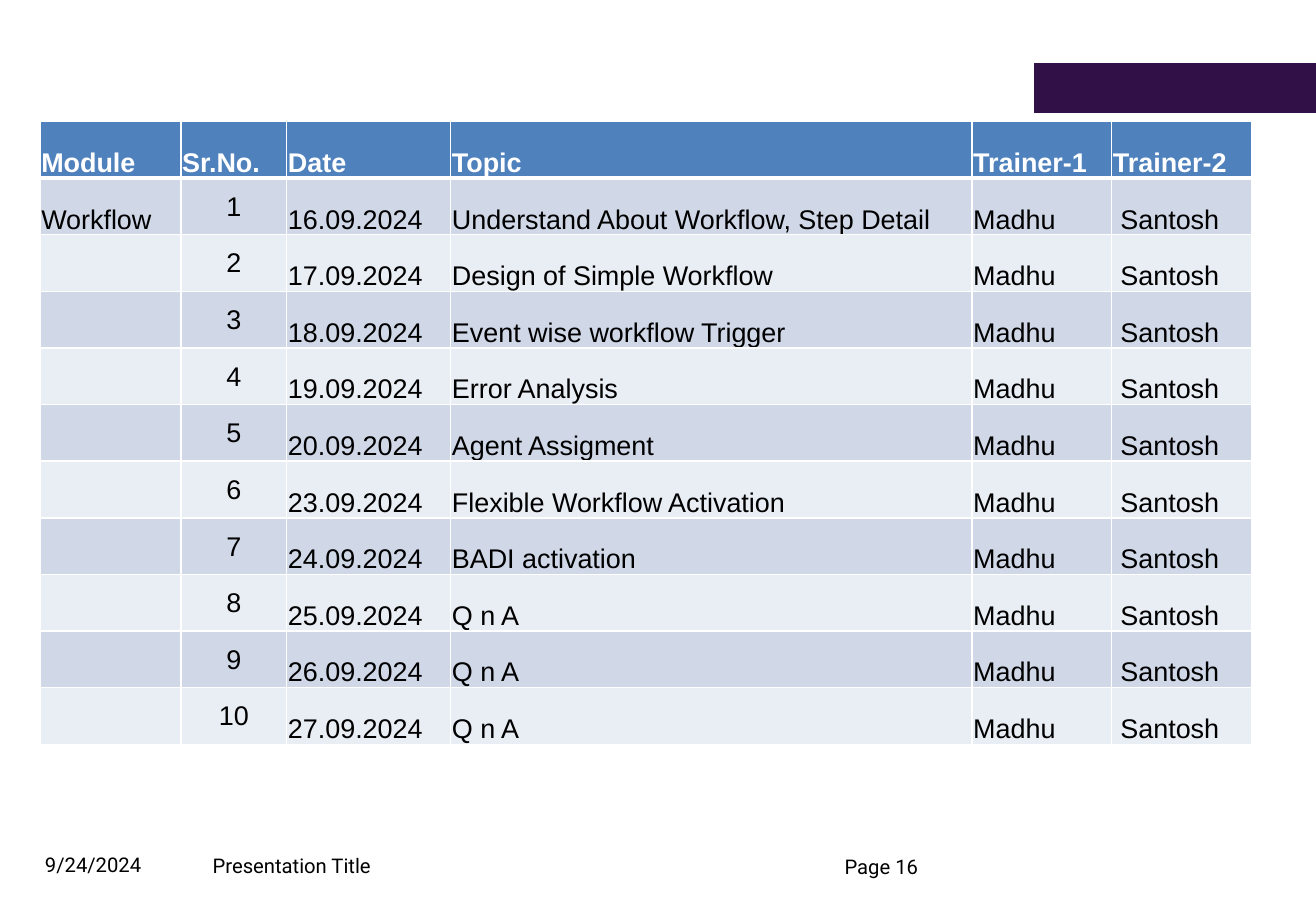
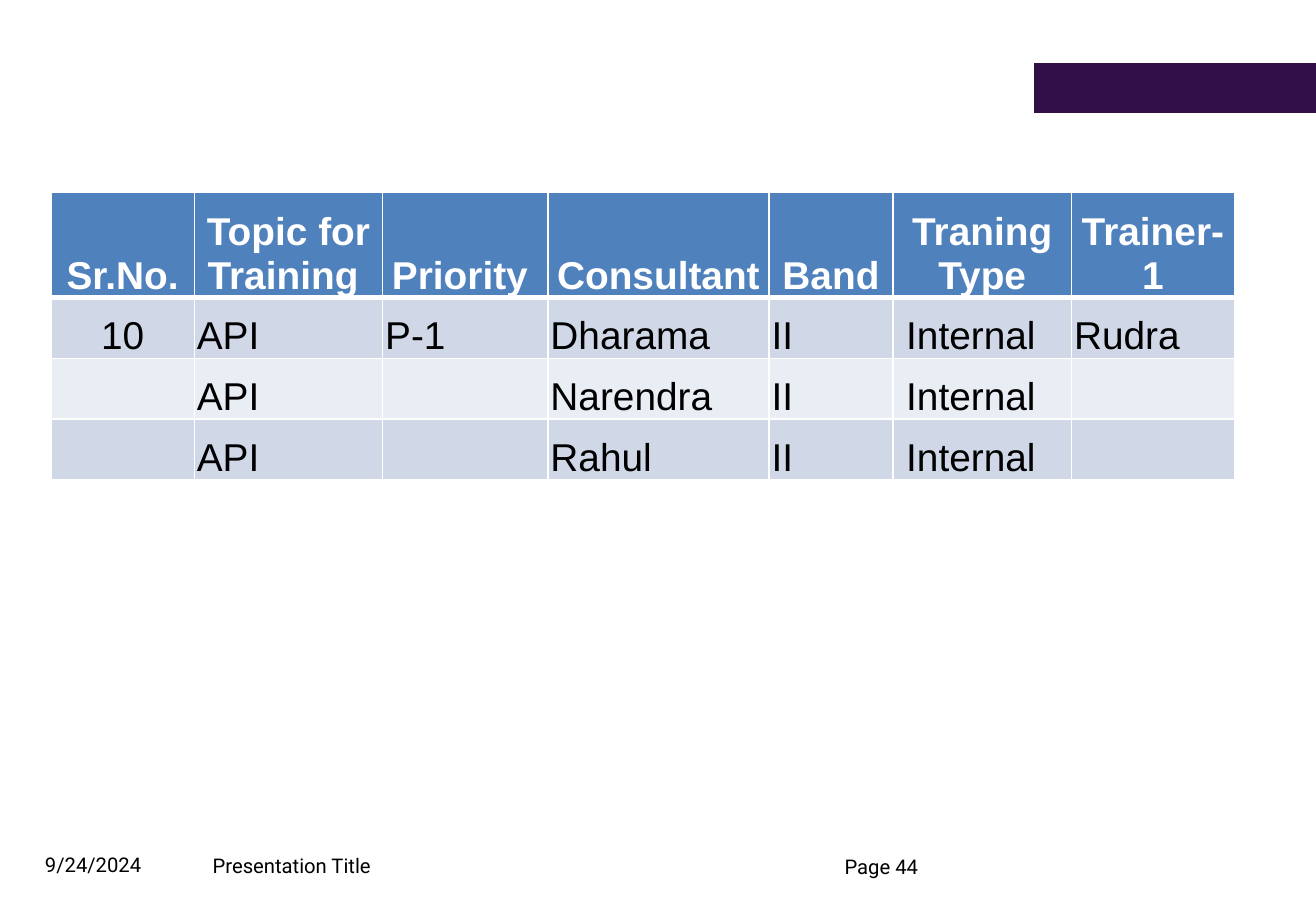
from pptx import Presentation
from pptx.dml.color import RGBColor
from pptx.enum.shapes import MSO_SHAPE
from pptx.enum.text import MSO_ANCHOR, PP_ALIGN
from pptx.oxml import parse_xml
from pptx.util import Inches, Pt

LEFT, CENTER = PP_ALIGN.LEFT, PP_ALIGN.CENTER
TOP, MIDDLE, BOTTOM = MSO_ANCHOR.TOP, MSO_ANCHOR.MIDDLE, MSO_ANCHOR.BOTTOM
RECT = MSO_SHAPE.RECTANGLE
NS = "http://schemas.openxmlformats.org/drawingml/2006/main"

COLORS = {
    "band": "301047",
    "header": "4F81BD",
    "odd": "D0D8E8",
    "even": "E9EDF4",
    "white": "FFFFFF",
    "black": "000000",
}


def put_text(tf, text, size=12, font="Roboto", color="black", bold=False,
             align=LEFT, spacing=None):
    p = tf.paragraphs[0]
    p.alignment = align
    p.line_spacing = spacing
    r = p.add_run()
    r.text = text
    r.font.size = Pt(size)
    r.font.name = font
    r.font.bold = bold
    r.font.color.rgb = RGBColor.from_string(COLORS[color])


def set_borders(cell, widths):
    tc_pr = cell._tc.get_or_add_tcPr()
    for i, (side, width) in enumerate(widths.items()):
        ln = parse_xml(
            f'<a:ln{side} xmlns:a="{NS}" w="{Pt(width)}"><a:solidFill>'
            f'<a:srgbClr val="{COLORS["white"]}"/></a:solidFill></a:ln{side}>')
        tc_pr.insert(i, ln)


sessions = [
    ("16.09.2024", "Understand About Workflow, Step Detail"),
    ("17.09.2024", "Design of Simple Workflow"),
    ("18.09.2024", "Event wise workflow Trigger"),
    ("19.09.2024", "Error Analysis"),
    ("20.09.2024", "Agent Assigment"),
    ("23.09.2024", "Flexible Workflow Activation"),
    ("24.09.2024", "BADI activation"),
    ("25.09.2024", "Q n A"),
    ("26.09.2024", "Q n A"),
    ("27.09.2024", "Q n A"),
]
schedule = [["Module", "Sr.No.", "Date", "Topic", "Trainer-1", "Trainer-2"]]
for number, (date, topic) in enumerate(sessions, 1):
    module = "Workflow" if number == 1 else ""
    schedule.append([module, str(number), date, topic, "Madhu", " Santosh"])

consultants = [
    ["Sr.No.", "Topic for Training ", "Priority ", "Consultant", "Band",
     "Traning Type", "Trainer-1"],
    ["10", "API", "P-1", "Dharama", "II", " Internal", "Rudra"],
    ["", "API", "", "Narendra", "II", " Internal", ""],
    ["", "API", "", "Rahul", "II", " Internal", ""],
]

slides = [
    dict(page=16, rows=schedule, left=0.33, top=1, size=16, margin=0.01,
         widths=[1.16, 0.87, 1.35, 4.29, 1.15, 1.15],
         heights=[5.13 / 11] * 11,
         header_align=LEFT, number_col=1, number_anchor=MIDDLE),
    dict(page=44, rows=consultants, left=0.42, top=1.58, size=23, margin=0.02,
         widths=[1.18, 1.55, 1.36, 1.82, 1.02, 1.47, 1.34],
         heights=[0.87] + [0.5] * 3,
         header_align=CENTER, number_col=0, number_anchor=BOTTOM),
]

prs = Presentation()
prs.slide_width = Inches(10.83)
prs.slide_height = Inches(7.5)

for d in slides:
    s = prs.slides.add_slide(prs.slide_layouts[6])

    footers = [
        ("9/24/2024", 0.37, 6.91, 1.58, 0.31, BOTTOM),
        (f"Page {d['page']}", 6.95, 7.06, 1.39, 0.17, TOP),
        ("Presentation Title", 1.75, 6.92, 1.95, 0.31, BOTTOM),
    ]
    for text, x, y, w, h, anchor in footers:
        tf = s.shapes.add_textbox(Inches(x), Inches(y), Inches(w), Inches(h)).text_frame
        tf.word_wrap = True
        tf.vertical_anchor = anchor
        tf.margin_left = tf.margin_right = tf.margin_top = tf.margin_bottom = 0
        put_text(tf, text, spacing=0.9)

    band = s.shapes.add_shape(RECT, Inches(8.51), Inches(0.52), Inches(2.32), Inches(0.41))
    band.shadow.inherit = False
    band.fill.solid()
    band.fill.fore_color.rgb = RGBColor.from_string(COLORS["band"])
    band.line.fill.background()

    table = s.shapes.add_table(
        len(d["rows"]), len(d["widths"]), Inches(d["left"]), Inches(d["top"]),
        Inches(sum(d["widths"])), Inches(sum(d["heights"]))).table
    table.horz_banding = False
    for col, width in zip(table.columns, d["widths"]):
        col.width = Inches(width)
    for row, height in zip(table.rows, d["heights"]):
        row.height = Inches(height)

    for i, row in enumerate(d["rows"]):
        header = i == 0
        fill = "header" if header else "odd" if i % 2 else "even"
        for j, text in enumerate(row):
            cell = table.cell(i, j)
            numbered = j == d["number_col"] and not header
            cell.margin_left = cell.margin_right = cell.margin_top = Inches(d["margin"])
            cell.margin_bottom = 0
            cell.vertical_anchor = d["number_anchor"] if numbered else BOTTOM
            cell.fill.solid()
            cell.fill.fore_color.rgb = RGBColor.from_string(COLORS[fill])
            set_borders(cell, {"L": 1, "R": 1, "T": 3 if i == 1 else 1,
                               "B": 3 if header else 1})
            if text:
                align = d["header_align"] if header else CENTER if numbered else LEFT
                put_text(cell.text_frame, text, size=d["size"], font="Arial",
                         color="white" if header else "black", bold=header, align=align)

prs.save("out.pptx")
